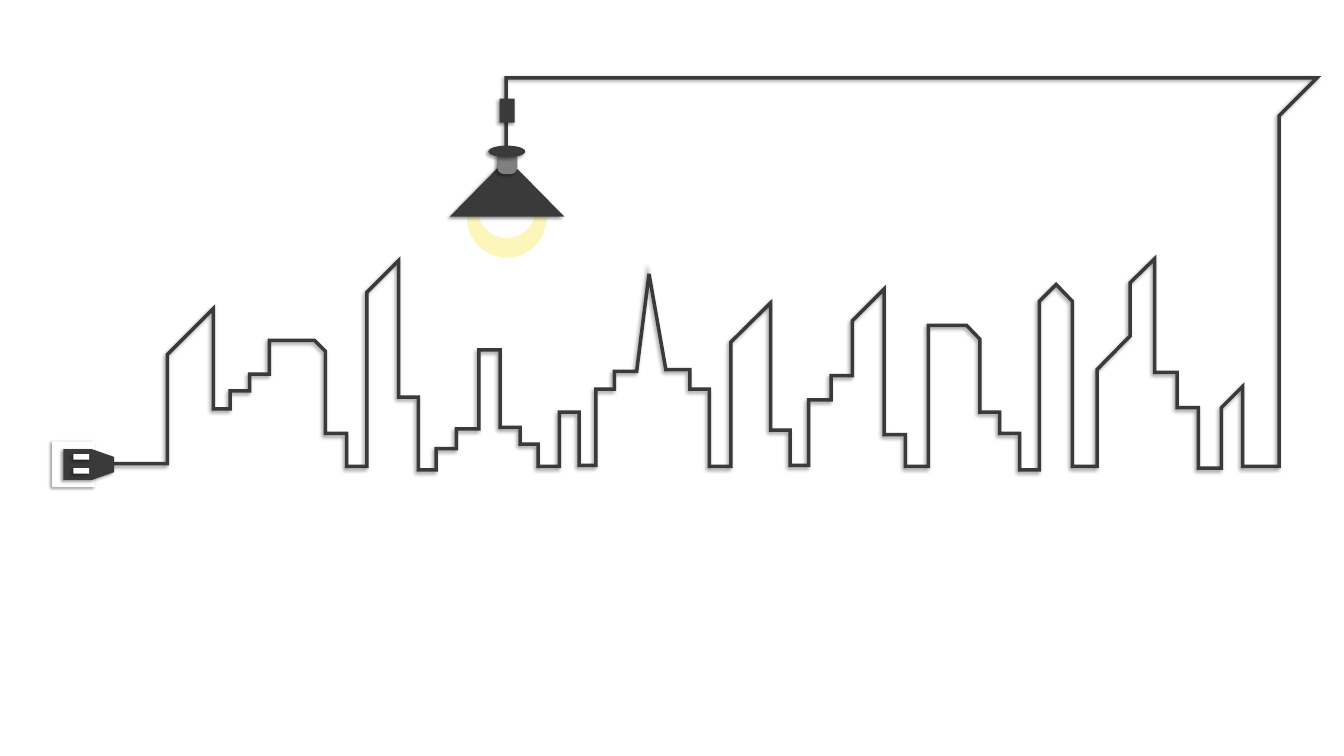
from lxml import etree
from pptx import Presentation
from pptx.dml.color import RGBColor
from pptx.enum.shapes import MSO_SHAPE
from pptx.oxml import parse_xml
from pptx.oxml.ns import qn
from pptx.util import Pt

RECTANGLE = MSO_SHAPE.RECTANGLE
ROUNDED = MSO_SHAPE.ROUNDED_RECTANGLE
OVAL = MSO_SHAPE.OVAL
TRIANGLE = MSO_SHAPE.ISOSCELES_TRIANGLE
CHORD = MSO_SHAPE.CHORD

PX = 9144  # EMU in one px, 100 px to the inch
PAGE_WIDTH, PAGE_HEIGHT = 2400, 1350
COLORS = {
    "dark": "3A3A3A",
    "gray": "808080",
    "glow": "FCF6BA",
    "paper": "FFFDFF",
    "white": "FFFFFF",
}
SHADOW = (
    '<a:outerShdw xmlns:a="http://schemas.openxmlformats.org/drawingml/2006/main" '
    'blurRad="50800" dist="38100" dir="8100000" algn="tr" rotWithShape="0">'
    '<a:srgbClr val="000000"><a:alpha val="40000"/></a:srgbClr></a:outerShdw>'
)

# Each run is (right, y) when flat or (right, left y, right y) when sloped;
# the walls between runs are vertical.
SKYLINE_RUNS = [
    (154, 689), (236, 494, 412), (266, 591), (301, 559), (336, 529),
    (417, 469), (436, 469, 488), (474, 635), (510, 694),
    (567, 383, 326), (602, 570), (634, 700), (670, 662), (710, 627),
    (748, 486), (784, 624), (816, 654), (854, 694), (889, 597), (919, 692),
    (952, 556), (992, 524), (1014, 524, 350), (1044, 350, 521),
    (1087, 521), (1122, 556), (1160, 694),
    (1231, 472, 402), (1266, 629), (1299, 692), (1339, 575), (1377, 532),
    (1434, 434, 377), (1472, 637), (1513, 694),
    (1581, 442), (1605, 442, 467), (1640, 597), (1676, 635), (1711, 700),
    (1741, 399, 369), (1770, 369, 399), (1814, 694),
    (1873, 521, 461), (1917, 366, 323), (1957, 526), (1995, 589),
    (2036, 697), (2074, 589, 551), (2139, 694),
    (2207, 68, 0), (759, 0),
]
CORD_END = (759, 125)


def style(shape, fill=None, line=None, width=4.5, shadow=True):
    if fill:
        shape.fill.solid()
        shape.fill.fore_color.rgb = RGBColor.from_string(COLORS[fill])
    else:
        shape.fill.background()
    if line:
        shape.line.color.rgb = RGBColor.from_string(COLORS[line])
        shape.line.width = Pt(width)
        outline = shape.line._get_or_add_ln()
        etree.SubElement(outline, qn("a:miter")).set("lim", "800000")
    else:
        shape.line.fill.background()
    shape.shadow.inherit = False
    if shadow:
        effects = shape._element.spPr.find(qn("a:effectLst"))
        effects.append(parse_xml(SHADOW))
    return shape


def add_preset(group, kind, box, fill, shadow=True):
    shape = group.shapes.add_shape(kind, *(length * PX for length in box))
    return style(shape, fill, shadow=shadow)


def add_outline(group, left, top, points, closed, **look):
    corners = [((left + x) * PX, (top + y) * PX) for x, y in points]
    builder = group.shapes.build_freeform(*corners[0], scale=1.0)
    builder.add_line_segments(corners[1:], close=closed)
    return style(builder.convert_to_shape(), **look)


def skyline_points():
    """Turn the runs into corners, with a wall wherever the height changes."""
    x, points = 0, []
    for right, left_y, *rest in SKYLINE_RUNS:
        if not points or points[-1] != (x, left_y):
            points.append((x, left_y))
        x = right
        points.append((x, rest[0] if rest else left_y))
    return points + [CORD_END]


def add_shade(group, left, top):
    """Add the glowing bulb and the lamp shade in front of it."""
    for x, y, size, fill in [(31, 35, 142, "glow"), (51, 40, 102, "paper")]:
        box = (left + x, top + y, size, size)
        add_preset(group, CHORD, box, fill, shadow=False).rotation = 292
    add_preset(group, TRIANGLE, (left, top, 205, 104), "dark")


def add_skyline(group, left, top):
    add_outline(group, left, top, skyline_points(), closed=False, line="dark")


def add_plug(group, left, top):
    points = [(0, 0), (51, 0), (91, 14), (91, 41), (51, 55), (0, 55)]
    add_outline(group, left, top, points, closed=True, fill="dark")
    for y in (9, 34):
        add_preset(group, RECTANGLE, (left + 18, top + y, 28, 10), "white")


def add_fitting(group, left, top):
    """Add the cord grip, the socket and the cap of the lamp."""
    add_preset(group, RECTANGLE, (left + 20, top, 27, 43), "dark")
    socket = add_preset(group, ROUNDED, (left + 16, top + 94, 36, 41), "gray")
    socket.adjustments[0] = 0.34
    add_preset(group, OVAL, (left, top + 84, 66, 21), "dark")


def main():
    deck = Presentation()
    deck.slide_width, deck.slide_height = PAGE_WIDTH * PX, PAGE_HEIGHT * PX
    page = deck.slides.add_slide(deck.slide_layouts[6])
    page.background.fill.solid()
    page.background.fill.fore_color.rgb = RGBColor.from_string(COLORS["white"])
    group = page.shapes.add_group_shape()
    add_shade(group, 803, 283)
    add_preset(group, RECTANGLE, (93, 788, 77, 82), "paper")
    add_skyline(group, 145, 139)
    add_plug(group, 113, 802)
    add_fitting(group, 872, 176)
    deck.save("out.pptx")


if __name__ == "__main__":
    main()
